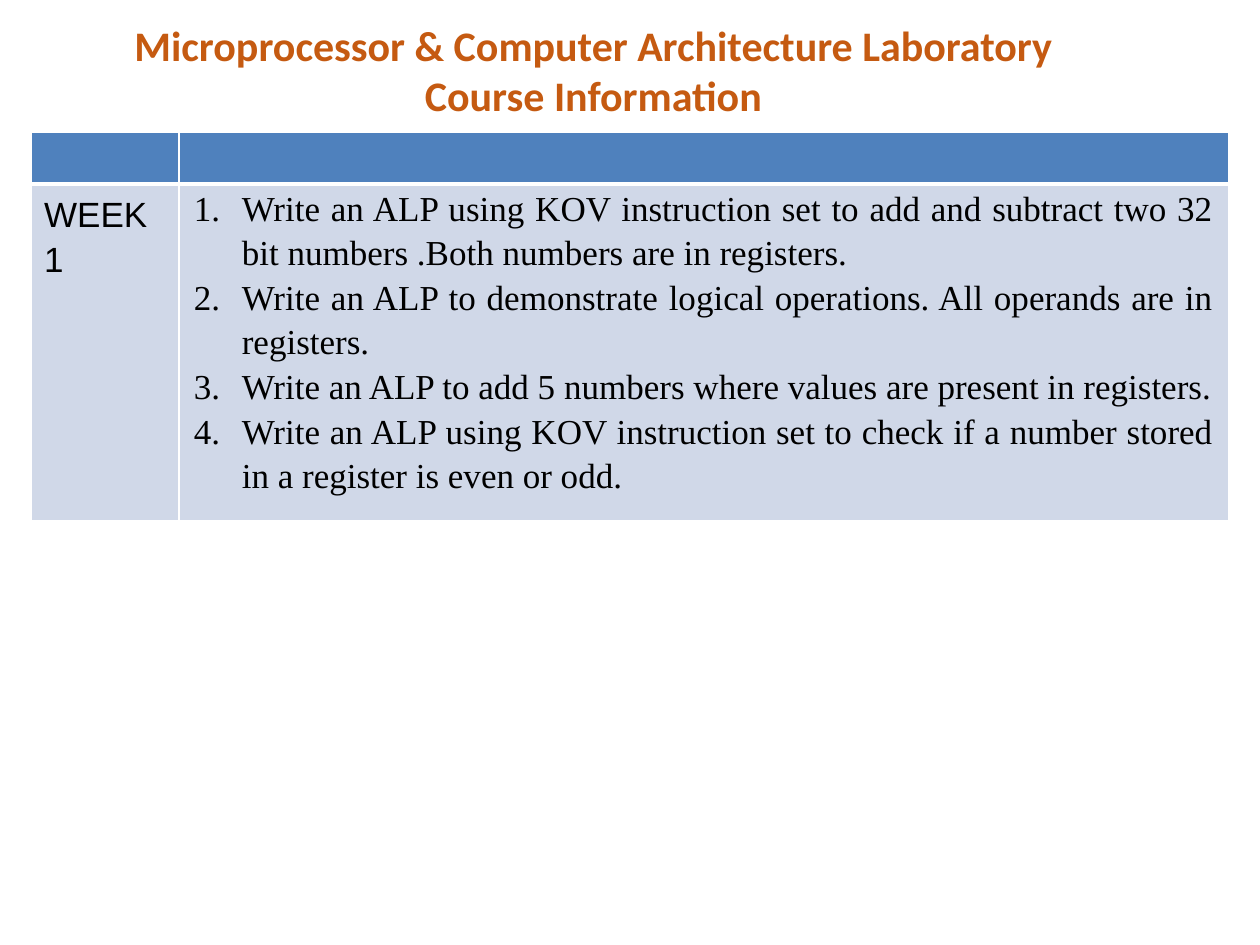
from lxml import etree
from pptx import Presentation
from pptx.dml.color import RGBColor
from pptx.enum.text import MSO_ANCHOR, PP_ALIGN
from pptx.oxml.ns import qn
from pptx.util import Inches, Pt

CENTER, JUSTIFY = PP_ALIGN.CENTER, PP_ALIGN.JUSTIFY
MIDDLE = MSO_ANCHOR.MIDDLE
ORANGE = RGBColor(0xC5, 0x5A, 0x11)
BLUE = RGBColor(0x4F, 0x81, 0xBD)
PALE_BLUE = RGBColor(0xD0, 0xD8, 0xE8)
BLACK = RGBColor(0, 0, 0)
WHITE = RGBColor(255, 255, 255)

TASKS = [
    "Write an ALP using KOV instruction set to add and subtract two 32 bit numbers .Both numbers are in registers.",
    "Write an ALP to demonstrate logical operations. All operands are in registers.",
    "Write an ALP to add 5 numbers where values are present in registers.",
    "Write an ALP using KOV instruction set to check if a number stored in a register is even or odd.",
]


def style_cell(cell, fill, bottom_width):
    """Give a cell white borders and a solid fill."""
    properties = cell._tc.get_or_add_tcPr()
    for side, width in (("lnL", 1), ("lnR", 1), ("lnT", 1), ("lnB", bottom_width)):
        line = etree.SubElement(properties, qn("a:" + side), w=str(Pt(width)))
        solid = etree.SubElement(line, qn("a:solidFill"))
        etree.SubElement(solid, qn("a:srgbClr"), val=str(WHITE))
    cell.fill.solid()
    cell.fill.fore_color.rgb = fill


def style_text(paragraph, font_name, size, color, align):
    """Set the alignment of a paragraph and the font of its runs."""
    paragraph.alignment = align
    for run in paragraph.runs:
        run.font.name = font_name
        run.font.size = Pt(size)
        run.font.color.rgb = color


deck = Presentation()
deck.slide_width, deck.slide_height = Inches(10), Inches(7.5)
page = deck.slides.add_slide(deck.slide_layouts[5])

# Title
title = page.shapes.title
title.left, title.top = Inches(0.25), Inches(0.1)
title.width, title.height = Inches(8.92), Inches(0.91)
title.text_frame.text = "Microprocessor & Computer Architecture Laboratory\nCourse Information"
title.text_frame.vertical_anchor = MIDDLE
for paragraph in title.text_frame.paragraphs:
    style_text(paragraph, "Calibri", 24, ORANGE, CENTER)
    for run in paragraph.runs:
        run.font.bold = True

# Weekly table
table = page.shapes.add_table(2, 2, Inches(0.25), Inches(1.05), Inches(9.5), Inches(3.08)).table
for column, width in zip(table.columns, (1.17, 8.33)):
    column.width = Inches(width)
for row, height, fill, bottom_width in zip(table.rows, (0.41, 2.67), (BLUE, PALE_BLUE), (3, 1)):
    row.height = Inches(height)
    for cell in row.cells:
        style_cell(cell, fill, bottom_width)

week_cell, task_cell = table.cell(1, 0), table.cell(1, 1)
week_cell.text_frame.text = "WEEK 1"
week = week_cell.text_frame.paragraphs[0]
week.line_spacing = 1.15
style_text(week, "Arial", 20, BLACK, JUSTIFY)

task_cell.margin_left = task_cell.margin_right = Inches(0.12)
task_cell.margin_top = task_cell.margin_bottom = 0
task_cell.text_frame.text = "\n".join(TASKS)
for paragraph in task_cell.text_frame.paragraphs:
    paragraph.line_spacing = 1.15
    style_text(paragraph, "Times New Roman", 20, BLACK, JUSTIFY)
    properties = paragraph._p.get_or_add_pPr()
    properties.set("marL", str(Inches(0.38)))
    properties.set("indent", str(Inches(-0.38)))
    etree.SubElement(properties, qn("a:buFont"), typeface="+mj-lt")
    etree.SubElement(properties, qn("a:buAutoNum"), type="arabicPeriod")

deck.save("out.pptx")
